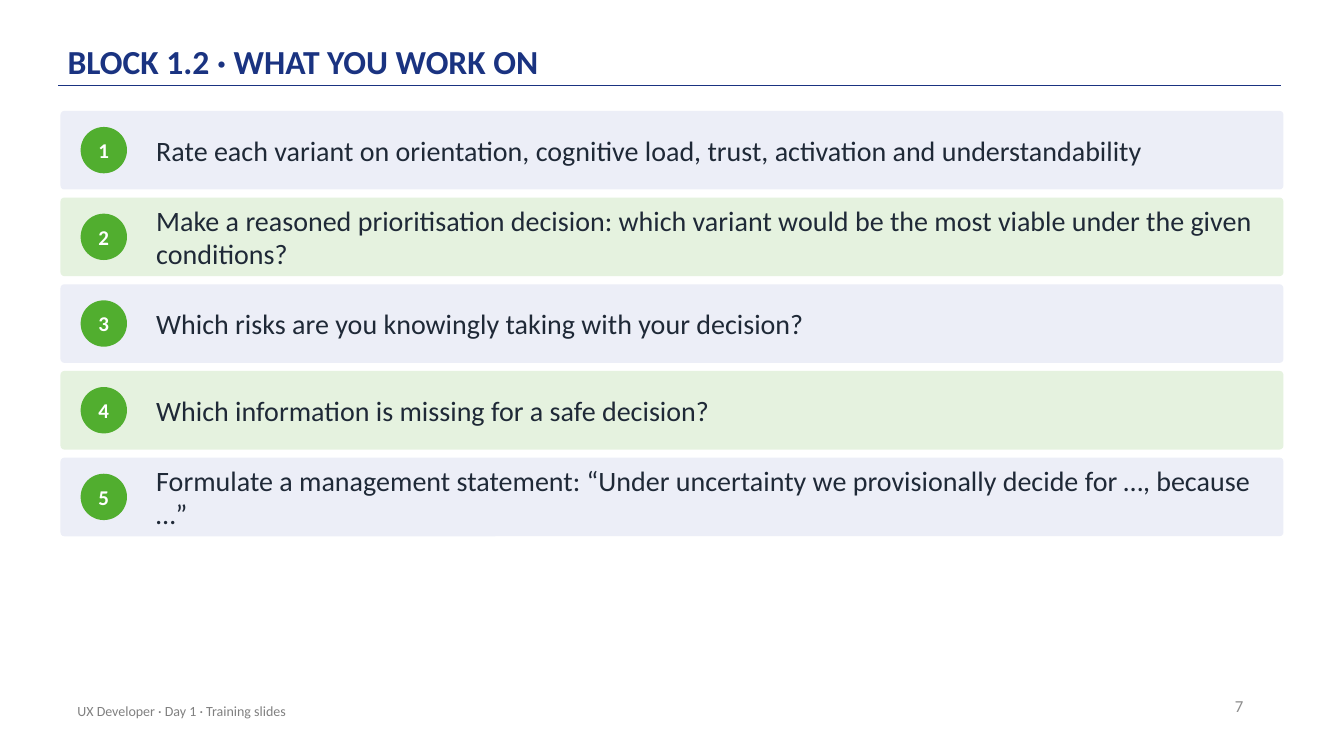
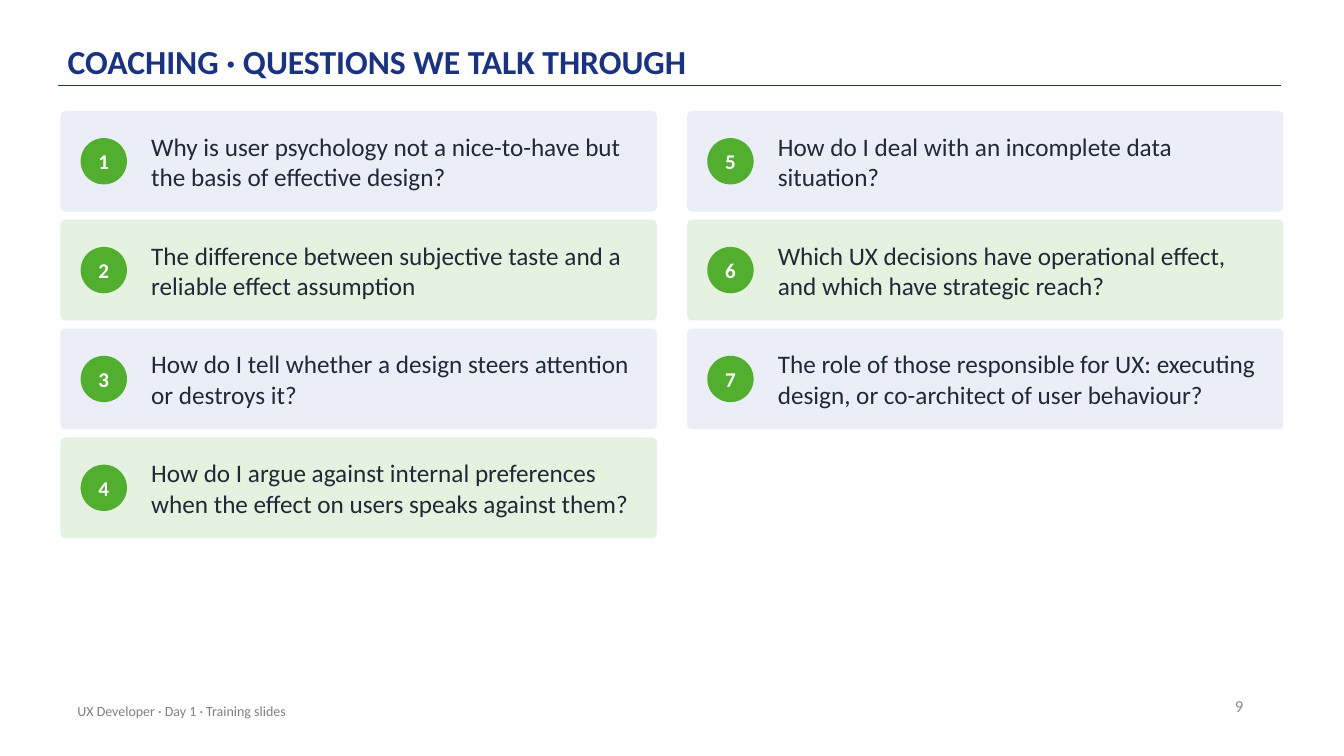
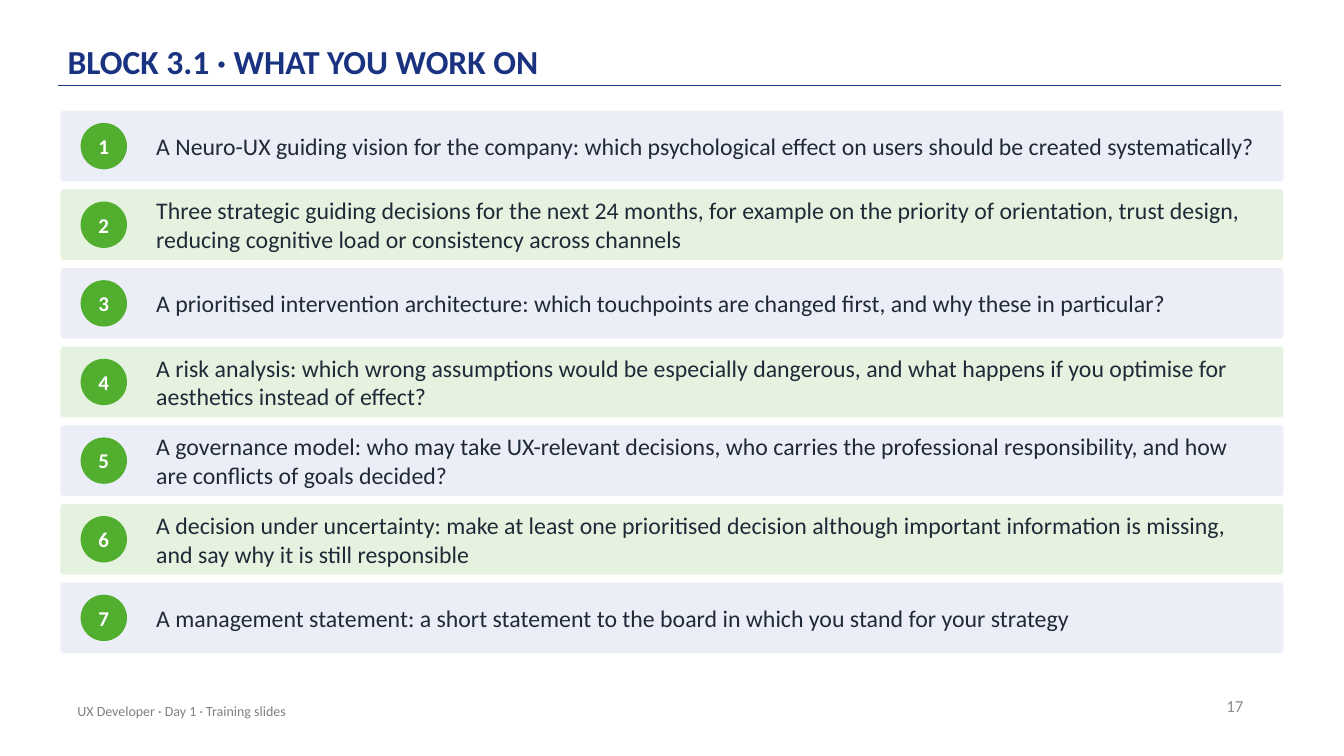
import pptx
import pptx.util
import pptx.dml.color
import pptx.enum.shapes
import pptx.enum.text
import pptx.oxml.ns
from lxml import etree

Inches = pptx.util.Inches
Pt = pptx.util.Pt
RGBColor = pptx.dml.color.RGBColor
SHAPE = pptx.enum.shapes.MSO_SHAPE
ANCHOR = pptx.enum.text.MSO_ANCHOR
ALIGN = pptx.enum.text.PP_ALIGN

# Shared style
FONT = "Calibri"
NAVY = RGBColor(0x1A, 0x33, 0x81)
GREEN = RGBColor(0x51, 0xAE, 0x2F)
INK = RGBColor(0x1F, 0x29, 0x37)
WHITE = RGBColor(0xFF, 0xFF, 0xFF)
FOOTER_GREY = RGBColor(0x80, 0x80, 0x80)
NUMBER_GREY = RGBColor(0x8C, 0x8C, 0x8C)
BAND_FILLS = (RGBColor(0xEC, 0xEE, 0xF7), RGBColor(0xE5, 0xF2, 0xDF))
FOOTER = "UX Developer · Day 1 · Training slides"
LEFT, TOP, WIDTH = 0.6, 1.1, 12.13
ROW_GAP, COLUMN_GAP = 0.08, 0.3
BADGE = 0.46


def write(sp, text, size, color, bold=False, align=ALIGN.LEFT,
          anchor=ANCHOR.MIDDLE, insets=(0, 0)):
    """Put one run in a shape; insets are horizontal and vertical."""
    tf = sp.text_frame
    tf.word_wrap = True
    tf.vertical_anchor = anchor
    tf.margin_left = tf.margin_right = Inches(insets[0])
    tf.margin_top = tf.margin_bottom = Inches(insets[1])
    p = tf.paragraphs[0]
    p.alignment = align
    r = p.add_run()
    r.text = text
    r.font.name = FONT
    r.font.size = Pt(size)
    r.font.bold = bold
    r.font.color.rgb = color
    return p


def add_text(s, box, *args, **kwargs):
    sp = s.shapes.add_textbox(*map(Inches, box))
    return write(sp, *args, **kwargs)


def add_filled(s, kind, box, color):
    sp = s.shapes.add_shape(kind, *map(Inches, box))
    sp.shadow.inherit = False
    sp.fill.solid()
    sp.fill.fore_color.rgb = color
    sp.line.fill.background()
    return sp


def add_frame(prs, title, number):
    """Slide with title, rule, page number and footer."""
    s = prs.slides.add_slide(prs.slide_layouts[6])
    rule = s.shapes.add_connector(
        pptx.enum.shapes.MSO_CONNECTOR.STRAIGHT,
        Inches(0.58), Inches(0.85), Inches(12.71), Inches(0.85))
    rule.line.color.rgb = NAVY
    rule.line.width = Pt(1)
    etree.SubElement(rule._element.spPr, pptx.oxml.ns.qn("a:effectLst"))
    p = add_text(s, (0.67, 0.12, 11, 0.72), title, 24, NAVY, bold=True,
                 anchor=ANCHOR.BOTTOM, insets=(0, 0.03))
    p.line_spacing = 0.9
    add_text(s, (9.43, 6.8, 3, 0.4), str(number), 12, NUMBER_GREY,
             align=ALIGN.RIGHT, insets=(0.1, 0.05))
    add_text(s, (0.67, 6.85, 6.7, 0.4), FOOTER, 10, FOOTER_GREY,
             insets=(0.1, 0.05))
    return s


def add_band(s, box, number, text, size, fill, indent, right_pad):
    """Tinted band with a numbered badge and its text."""
    x, y, w, h = box
    band = add_filled(s, SHAPE.ROUNDED_RECTANGLE, box, fill)
    band.adjustments[0] = 0.05
    badge = add_filled(s, SHAPE.OVAL,
                       (x + 0.2, y + (h - BADGE) / 2, BADGE, BADGE), GREEN)
    write(badge, str(number), 15, WHITE, bold=True, align=ALIGN.CENTER)
    add_text(s, (x + indent, y, w - indent - right_pad, h), text, size, INK)


def add_list_slide(prs, title, page, items, size, row_height,
                   columns=1, indent=0.95, right_pad=0.25):
    """Numbered bands, filled column by column."""
    s = add_frame(prs, title, page)
    rows = -(-len(items) // columns)
    width = (WIDTH - (columns - 1) * COLUMN_GAP) / columns
    for i, text in enumerate(items):
        column, row = divmod(i, rows)
        box = (LEFT + column * (width + COLUMN_GAP),
               TOP + row * (row_height + ROW_GAP), width, row_height)
        add_band(s, box, i + 1, text, size, BAND_FILLS[row % 2],
                 indent, right_pad)


# Slide content
VARIANT_TASKS = [
    "Rate each variant on orientation, cognitive load, trust, activation and understandability",
    "Make a reasoned prioritisation decision: which variant would be the most viable under the given conditions?",
    "Which risks are you knowingly taking with your decision?",
    "Which information is missing for a safe decision?",
    "Formulate a management statement: “Under uncertainty we provisionally decide for …, because …”",
]
COACHING_QUESTIONS = [
    "Why is user psychology not a nice-to-have but the basis of effective design?",
    "The difference between subjective taste and a reliable effect assumption",
    "How do I tell whether a design steers attention or destroys it?",
    "How do I argue against internal preferences when the effect on users speaks against them?",
    "How do I deal with an incomplete data situation?",
    "Which UX decisions have operational effect, and which have strategic reach?",
    "The role of those responsible for UX: executing design, or co-architect of user behaviour?",
]
STRATEGY_TASKS = [
    "A Neuro-UX guiding vision for the company: which psychological effect on users should be created systematically?",
    "Three strategic guiding decisions for the next 24 months, for example on the priority of orientation, "
    "trust design, reducing cognitive load or consistency across channels",
    "A prioritised intervention architecture: which touchpoints are changed first, and why these in particular?",
    "A risk analysis: which wrong assumptions would be especially dangerous, and what happens if you optimise "
    "for aesthetics instead of effect?",
    "A governance model: who may take UX-relevant decisions, who carries the professional responsibility, "
    "and how are conflicts of goals decided?",
    "A decision under uncertainty: make at least one prioritised decision although important information "
    "is missing, and say why it is still responsible",
    "A management statement: a short statement to the board in which you stand for your strategy",
]


def main():
    prs = pptx.Presentation()
    prs.slide_width, prs.slide_height = Inches(13.33), Inches(7.5)
    add_list_slide(prs, "BLOCK 1.2 · WHAT YOU WORK ON", 7,
                   VARIANT_TASKS, 20, 0.78)
    add_list_slide(prs, "COACHING · QUESTIONS WE TALK THROUGH", 9,
                   COACHING_QUESTIONS, 18, 1, columns=2,
                   indent=0.9, right_pad=0.2)
    add_list_slide(prs, "BLOCK 3.1 · WHAT YOU WORK ON", 17,
                   STRATEGY_TASKS, 17, 0.7)
    prs.save("out.pptx")


if __name__ == "__main__":
    main()
